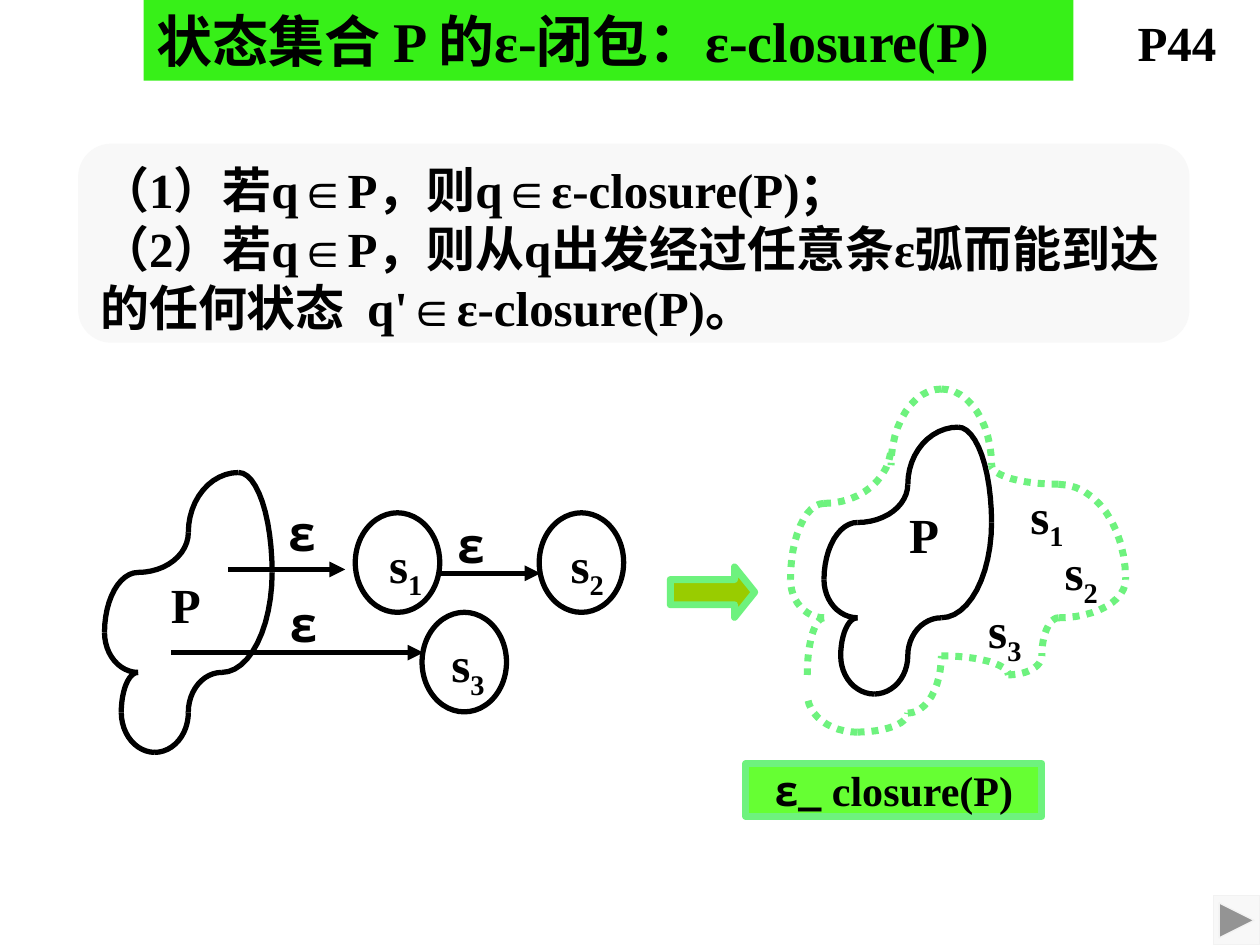
from dataclasses import dataclass
from math import cos, pi, sin

from lxml.etree import SubElement
from pptx import Presentation
from pptx.dml.color import RGBColor
from pptx.enum.dml import MSO_LINE
from pptx.enum.shapes import MSO_CONNECTOR, MSO_SHAPE
from pptx.enum.text import MSO_ANCHOR, PP_ALIGN
from pptx.oxml.ns import qn
from pptx.util import Inches, Pt


@dataclass(frozen=True)
class Theme:
    serif: str = "Times New Roman"
    sans: str = "Cabin"
    ink: str = "000000"
    title_fill: str = "37F018"
    panel: str = "F8F8F8"
    button_edge: str = "F2F2F2"
    closure: str = "6EF27E"
    closure_fill: str = "66FF33"
    arrow_fill: str = "99CC00"
    title_size: int = 32
    body_size: int = 28
    caption_size: int = 24
    thin: float = 0.75
    stroke: int = 3
    heavy: int = 4


THEME = Theme()
NORMAL_INSETS = (0.1, 0.05)
TIGHT_INSETS = (0.01, 0.01)
ARC_STEPS = 12

# Outlines in grid units. Points alternate: level tangent, upright tangent.
STATE_SET = [[(8, 0), (10, 5), (7, 10), (5, 12), (3, 14), (1, 12),
              (2, 10), (0, 8), (2, 5), (5, 3), (8, 0)]]
CLOSURE = [
    [(11, 13), (13, 12), (14, 10), (18, 8), (14, 3), (10, 2), (7, -2), (4, 2)],
    [(7, 12), (11, 13)],
    [(5, 15), (7, 12)],
    [(2, 16), (5, 15)],
    [(2, 16), (-1, 14)],
    [(0, 10), (-1, 13)],
    [(0, 10), (-2, 8), (0, 4), (4, 1)],
]


def rgb(color):
    return RGBColor.from_string(color)


def set_line(shape, color, width):
    shape.line.color.rgb = rgb(color)
    shape.line.width = Pt(width)


def add_box(shapes, kind, at, fill=None, line=None, width=THEME.stroke):
    box = shapes.add_shape(kind, *map(Inches, at))
    box.shadow.inherit = False
    if fill:
        box.fill.solid()
        box.fill.fore_color.rgb = rgb(fill)
    else:
        box.fill.background()
    if line:
        set_line(box, line, width)
    else:
        box.line.fill.background()
    return box


def write(shape, paragraphs, size, align=PP_ALIGN.LEFT, insets=TIGHT_INSETS, wrap=True):
    """Each paragraph is a list of (text, font, baseline) runs."""
    frame = shape.text_frame
    frame.word_wrap = wrap
    frame.vertical_anchor = MSO_ANCHOR.TOP
    frame.margin_left = frame.margin_right = Inches(insets[0])
    frame.margin_top = frame.margin_bottom = Inches(insets[1])
    for index, runs in enumerate(paragraphs):
        paragraph = frame.add_paragraph() if index else frame.paragraphs[0]
        paragraph.alignment = align
        for text, font, baseline in runs:
            run = paragraph.add_run()
            run.text = text
            run.font.name = font
            run.font.size = Pt(size)
            run.font.bold = True
            run.font.color.rgb = rgb(THEME.ink)
            if baseline:
                run._r.get_or_add_rPr().set("baseline", str(baseline * 1000))
    return frame


def add_label(shapes, at, runs, align=PP_ALIGN.CENTER):
    label = shapes.add_textbox(*map(Inches, at))
    write(label, [runs], THEME.body_size, align)


def add_state(shapes, number, at):
    add_label(shapes, at, [("s", THEME.serif, 0), (number, THEME.serif, -25)])


def add_set_name(shapes, at):
    add_label(shapes, at, [("P", THEME.serif, 0)])


def add_transition(shapes, start_x, end_x, y):
    arrow = shapes.add_connector(MSO_CONNECTOR.STRAIGHT, Inches(start_x), Inches(y),
                                 Inches(end_x), Inches(y))
    set_line(arrow, THEME.ink, THEME.stroke)
    SubElement(arrow.line._get_or_add_ln(), qn("a:tailEnd"), type="triangle")
    SubElement(arrow._element.spPr, qn("a:effectLst"))


def add_arc(shapes, level, upright):
    """Quarter ellipse from its level end to its upright end."""
    (x0, y0), (x1, y1) = level, upright
    angles = [pi / 2 * step / ARC_STEPS for step in range(ARC_STEPS + 1)]
    points = [(Inches(x0 + (x1 - x0) * sin(t)), Inches(y1 + (y0 - y1) * cos(t)))
              for t in angles]
    builder = shapes.build_freeform(*points[0], scale=1.0)
    builder.add_line_segments(points[1:], close=False)
    arc = builder.convert_to_shape()
    arc.shadow.inherit = False
    arc.fill.background()
    return arc


def add_outline(shapes, chains, origin, unit, color, width, dash=None):
    for chain in chains:
        places = [(origin[0] + x * unit[0], origin[1] + y * unit[1]) for x, y in chain]
        for index, ends in enumerate(zip(places, places[1:])):
            level, upright = ends if index % 2 == 0 else ends[::-1]
            arc = add_arc(shapes, level, upright)
            set_line(arc, color, width)
            if dash:
                arc.line.dash_style = dash


def add_heading(shapes):
    title = add_box(shapes, MSO_SHAPE.RECTANGLE, (1.14, 0, 7.38, 0.64), THEME.title_fill)
    write(title, [[("状态集合 P 的ε-闭包：ε-closure(P)", THEME.serif, 0)]],
          THEME.title_size, insets=NORMAL_INSETS, wrap=False)


def add_definition(shapes):
    panel = add_box(shapes, MSO_SHAPE.ROUNDED_RECTANGLE, (0.62, 1.14, 8.82, 1.58), THEME.panel)
    rules = ["（1）若q∈P，则q∈ε-closure(P)；",
             "（2）若q∈P，则从q出发经过任意条ε弧而能到达的任何状态  q'∈ε-closure(P)。"]
    write(panel, [[(rule, THEME.serif, 0)] for rule in rules],
          THEME.body_size, insets=NORMAL_INSETS)


def add_transitions_diagram(shapes):
    for x, y in [(3.62, 4.07), (2.28, 3.98), (2.29, 4.7)]:
        add_label(shapes, (x, y, 0.4, 0.63), [("ε", THEME.sans, 0)], PP_ALIGN.JUSTIFY)
    add_set_name(shapes, (1.21, 4.55, 0.53, 0.63))
    add_outline(shapes, STATE_SET, (0.83, 3.75), (0.133, 0.1587), THEME.ink, THEME.stroke)
    for start_x, end_x, y in [(1.81, 2.74, 4.52), (3.49, 4.29, 4.55), (1.36, 3.36, 5.18)]:
        add_transition(shapes, start_x, end_x, y)
    for x, y in [(2.82, 4.07), (4.28, 4.07), (3.35, 4.86)]:
        add_box(shapes, MSO_SHAPE.OVAL, (x, y, 0.67, 0.79), line=THEME.ink)
    add_state(shapes, "2", (4.29, 4.23, 0.74, 0.48))
    add_state(shapes, "1", (2.87, 4.23, 0.7, 0.48))
    add_state(shapes, "3", (3.38, 5.02, 0.67, 0.48))


def add_closure_diagram(shapes):
    caption = add_box(shapes, MSO_SHAPE.RECTANGLE, (5.92, 6.06, 2.35, 0.42),
                      THEME.closure_fill, THEME.closure, THEME.heavy)
    write(caption, [[("ε_", THEME.sans, 0), (" closure(P)", THEME.serif, 0)]],
          THEME.caption_size, PP_ALIGN.CENTER)
    add_set_name(shapes, (7.07, 3.99, 0.53, 0.61))
    origin, unit = (6.54, 3.39), (0.133, 0.1513)
    add_outline(shapes, STATE_SET, origin, unit, THEME.ink, THEME.stroke)
    add_outline(shapes, CLOSURE, origin, unit, THEME.closure, THEME.heavy, MSO_LINE.ROUND_DOT)
    add_state(shapes, "2", (8.27, 4.29, 0.62, 0.46))
    add_state(shapes, "1", (8.01, 3.84, 0.6, 0.45))
    add_state(shapes, "3", (7.69, 4.75, 0.57, 0.45))
    arrow = add_box(shapes, MSO_SHAPE.RIGHT_ARROW, (5.32, 4.5, 0.67, 0.4),
                    THEME.arrow_fill, THEME.closure, THEME.heavy)
    arrow.adjustments[1] = 0.4


def add_page_reference(shapes):
    reference = shapes.add_textbox(*map(Inches, (8.43, 0, 1.57, 0.62)))
    frame = write(reference, [[("P44", THEME.serif, 0)]], THEME.body_size, insets=NORMAL_INSETS)
    frame.vertical_anchor = MSO_ANCHOR.MIDDLE
    line = frame.paragraphs[0]
    line.line_spacing = 1.1
    line._p.get_or_add_pPr().set("marL", str(Inches(0.5)))


def main():
    deck = Presentation()
    deck.slide_width, deck.slide_height = Inches(10), Inches(7.5)
    shapes = deck.slides.add_slide(deck.slide_layouts[6]).shapes

    # Heading and definition
    add_heading(shapes)
    add_definition(shapes)

    # State set with its ε-transitions, then the resulting closure
    add_transitions_diagram(shapes.add_group_shape().shapes)
    add_closure_diagram(shapes.add_group_shape().shapes)

    # Page reference and next button
    add_page_reference(shapes)
    add_box(shapes, MSO_SHAPE.ACTION_BUTTON_FORWARD_OR_NEXT, (9.63, 7.11, 0.37, 0.39),
            THEME.panel, THEME.button_edge, THEME.thin)
    deck.save("out.pptx")


if __name__ == "__main__":
    main()
